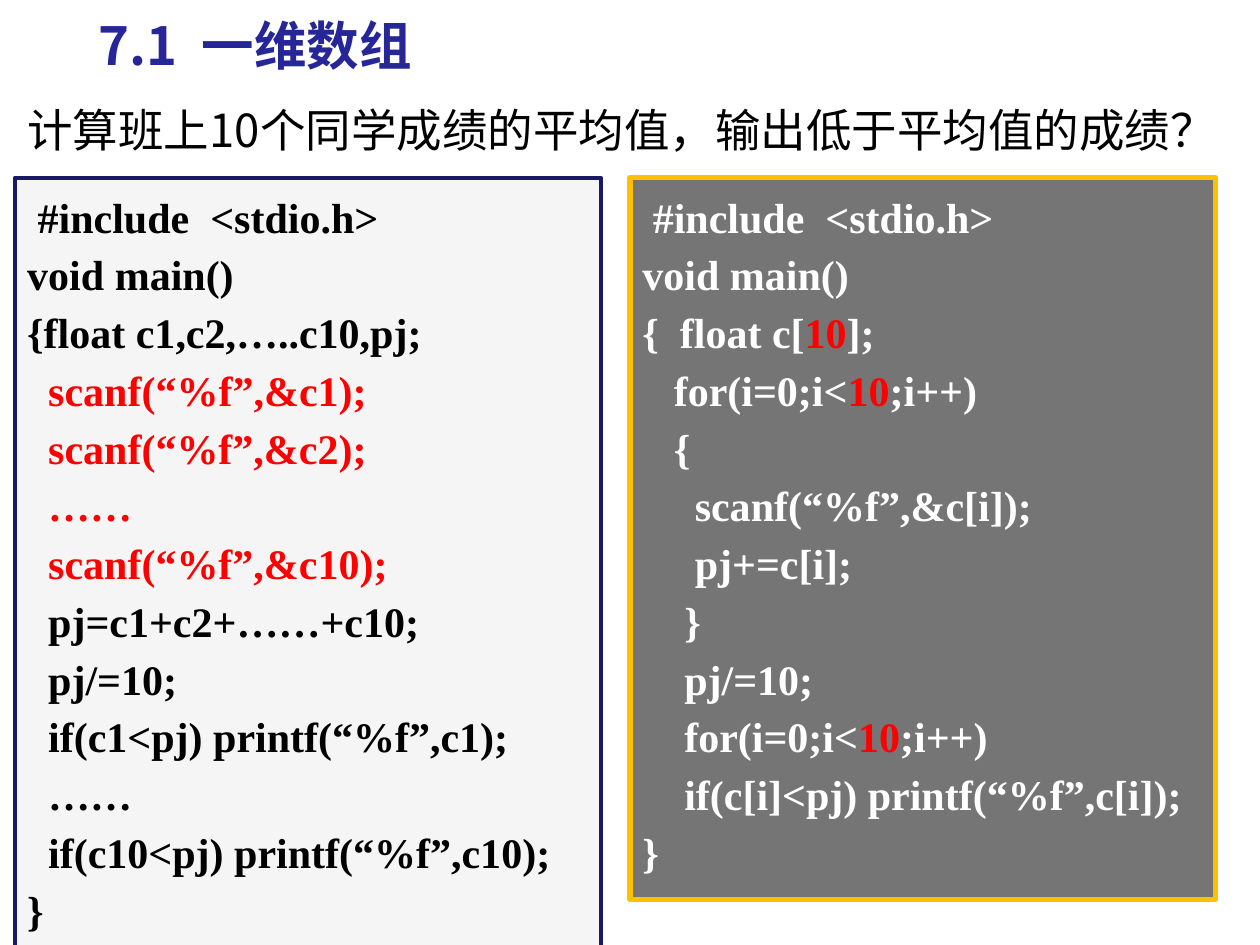
"""Build the slide that compares ten variables with one array."""
from dataclasses import dataclass

from lxml.etree import SubElement
from pptx import Presentation
from pptx.dml.color import RGBColor
from pptx.enum.shapes import MSO_SHAPE
from pptx.enum.text import MSO_ANCHOR, MSO_AUTO_SIZE, PP_ALIGN
from pptx.oxml.ns import qn
from pptx.util import Cm, Pt


@dataclass(frozen=True)
class Theme:
    """Colours, fonts and type sizes."""
    heading: str = "262699"
    text: str = "000000"
    light: str = "FFFFFF"
    accent: str = "FF0000"
    pale: str = "F2F2F2"
    navy: str = "191966"
    dark: str = "404040"
    gold: str = "FFC000"
    sans: str = "Noto Sans CJK SC"
    serif: str = "Times New Roman"
    title_size: int = 30
    question_size: int = 26
    code_size: int = 24
    line_pitch: int = 33


T = Theme()
TITLE = " 7.1  一维数组"
QUESTION = "计算班上10个同学成绩的平均值，输出低于平均值的成绩？"
MARK = "|"
VARIABLES = [
    " #include  <stdio.h>",
    "void main()",
    "{float c1,c2,…..c10,pj;",
    "  |scanf(“%f”,&c1);",
    "|  scanf(“%f”,&c2);",
    "|  ……",
    "|  scanf(“%f”,&c10);",
    "  pj=c1+c2+……+c10;",
    "  pj/=10;",
    "  if(c1<pj) printf(“%f”,c1);",
    "  ……",
    "  if(c10<pj) printf(“%f”,c10);",
    "}",
]
ARRAY = [
    " #include  <stdio.h>",
    "void main()",
    "{  float c[|10|];",
    "   for(i=0;i<|10|;i++)",
    "   { ",
    "     scanf(“%f”,&c[i]);",
    "     pj+=c[i];",
    "    }",
    "    pj/=10;",
    "    for(i=0;i<|10|;i++)",
    "    if(c[i]<pj) printf(“%f”,c[i]);",
    "}",
]
PANELS = [
    dict(code=VARIABLES, height=15.54, fill=T.pale, alpha=70,
         line=T.navy, width=2.25, color=T.text),
    dict(code=ARRAY, height=14.55, fill=T.dark, alpha=72,
         line=T.gold, width=3, color=T.light),
]
LEFT, TOP, PANEL_WIDTH, PITCH = 0.3, 3.58, 11.81, 12.4


def add_run(p, text, font, size, color, bold=False):
    """Append one formatted run."""
    r = p.add_run()
    r.text = text
    r.font.name = font
    r.font.size = Pt(size)
    r.font.bold = bold
    r.font.color.rgb = RGBColor.from_string(color)
    SubElement(r.font._element, qn("a:ea"), typeface=font)


def add_box(slide, left, top, width, height, fill):
    """Add a filled rectangle without shadow or outline."""
    sp = slide.shapes.add_shape(
        MSO_SHAPE.RECTANGLE, Cm(left), Cm(top), Cm(width), Cm(height))
    sp.shadow.inherit = False
    sp.fill.solid()
    sp.fill.fore_color.rgb = RGBColor.from_string(fill)
    sp.line.fill.background()
    return sp


def add_panel(slide, left, panel):
    """Add a translucent code panel with highlighted parts."""
    sp = add_box(slide, left, TOP, PANEL_WIDTH, panel["height"], panel["fill"])
    color = sp._element.spPr.find(qn("a:solidFill"))[0]
    SubElement(color, qn("a:alpha"), val=str(panel["alpha"] * 1000))
    sp.line.color.rgb = RGBColor.from_string(panel["line"])
    sp.line.width = Pt(panel["width"])
    tf = sp.text_frame
    tf.word_wrap = True
    tf.vertical_anchor = MSO_ANCHOR.TOP
    for i, line in enumerate(panel["code"]):
        p = tf.add_paragraph() if i else tf.paragraphs[0]
        p.alignment = PP_ALIGN.JUSTIFY
        p.line_spacing = Pt(T.line_pitch)
        pPr = p._p.get_or_add_pPr()
        pPr.set("marL", str(Cm(1.27)))
        pPr.set("indent", str(-Cm(1.27)))
        for j, part in enumerate(line.split(MARK)):
            if part:
                add_run(p, part, T.serif, T.code_size,
                        T.accent if j % 2 else panel["color"], True)


def add_question(slide):
    """Add the question above the panels."""
    sp = add_box(slide, LEFT, 1.93, 24.59, 1.37, T.light)
    tf = sp.text_frame
    tf.word_wrap = False
    tf.vertical_anchor = MSO_ANCHOR.MIDDLE
    p = tf.paragraphs[0]
    p.alignment = PP_ALIGN.LEFT
    add_run(p, QUESTION, T.sans, T.question_size, T.text)


def set_title(slide):
    """Place and format the title placeholder."""
    sp = slide.shapes.title
    sp.left, sp.top, sp.width, sp.height = Cm(1.5), Cm(0.13), Cm(10.11), Cm(1.55)
    tf = sp.text_frame
    tf.auto_size = MSO_AUTO_SIZE.NONE
    tf.vertical_anchor = MSO_ANCHOR.MIDDLE
    p = tf.paragraphs[0]
    p.alignment = PP_ALIGN.LEFT
    add_run(p, TITLE, T.sans, T.title_size, T.heading, True)


def main():
    """Build and save the presentation."""
    prs = Presentation()
    prs.slide_width, prs.slide_height = Cm(25.4), Cm(19.05)
    s = prs.slides.add_slide(prs.slide_layouts[5])
    set_title(s)
    for i, panel in enumerate(PANELS):
        add_panel(s, LEFT + i * PITCH, panel)
    add_question(s)
    prs.save("out.pptx")


if __name__ == "__main__":
    main()
